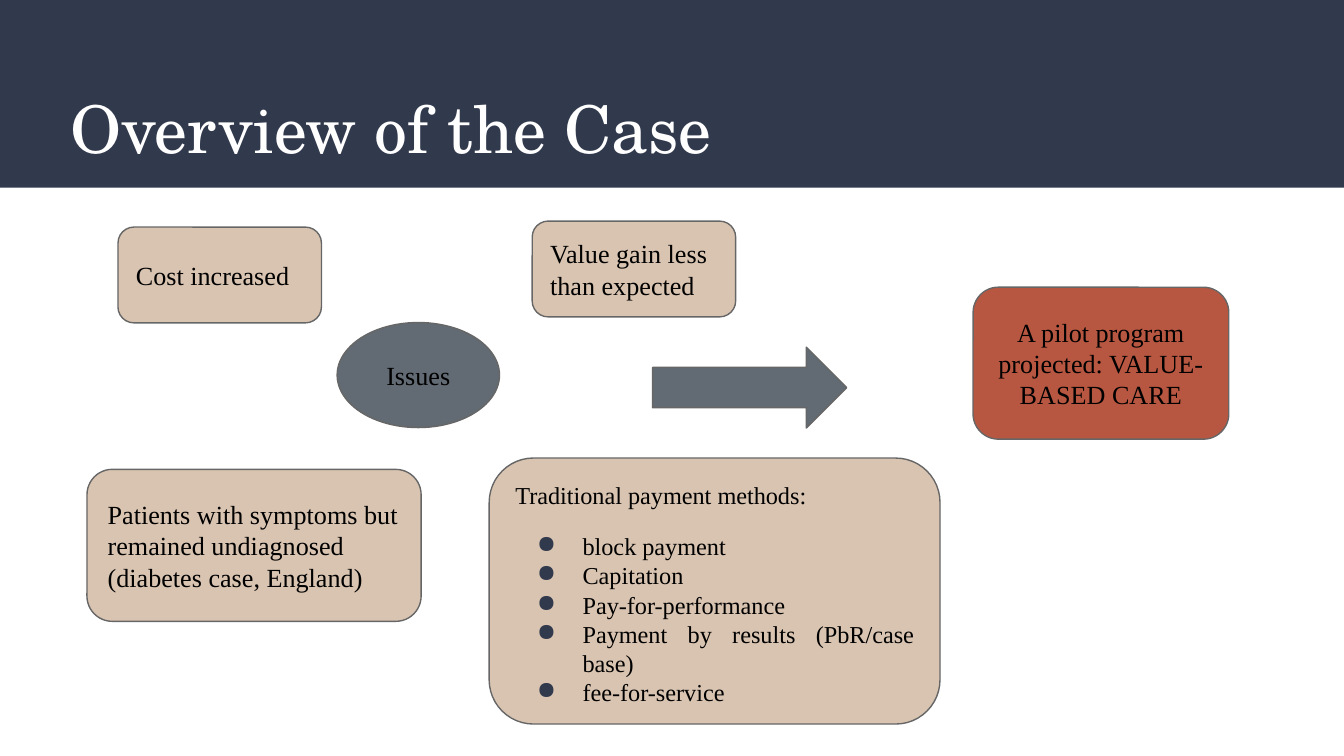
import pptx
import pptx.util
import pptx.dml.color
import pptx.enum.shapes
import pptx.enum.text
import pptx.oxml.ns
from lxml import etree

Pt = pptx.util.Pt
Shape = pptx.enum.shapes.MSO_SHAPE
Align = pptx.enum.text.PP_ALIGN
Anchor = pptx.enum.text.MSO_ANCHOR

NAVY, SAND, SLATE, RUST = "31394D", "D9C4B1", "626B73", "B85741"
OUTLINE, BLACK, WHITE = "666666", "000000", "FFFFFF"
BODY_FONT = "Times New Roman"

TITLE = "Overview of the Case"
# kind, (left, top, width, height), fill, text, alignment
DIAGRAM = [
    (Shape.ROUNDED_RECTANGLE, (63.2, 121.7, 109, 51.3), SAND,
     "Cost increased", Align.LEFT),
    (Shape.ROUNDED_RECTANGLE, (46.6, 251.5, 179, 81.4), SAND,
     "Patients with symptoms but remained undiagnosed (diabetes case, England)", Align.LEFT),
    (Shape.ROUNDED_RECTANGLE, (285.1, 118.5, 109, 51.3), SAND,
     "Value gain less than expected", Align.LEFT),
    (Shape.RIGHT_ARROW, (349.6, 186, 104, 43.3), SLATE, "", Align.LEFT),
    (Shape.OVAL, (180.6, 172.8, 87, 56.3), SLATE, "Issues", Align.CENTER),
    (Shape.ROUNDED_RECTANGLE, (521.3, 153.9, 137, 81.4), RUST,
     "A pilot program projected: VALUE-BASED CARE", Align.CENTER),
]
METHODS_BOX = (262.1, 245.4, 241.5, 142.5)
METHODS_HEADING = "Traditional payment methods:"
METHODS = ["block payment", "Capitation", "Pay-for-performance",
           "Payment by results (PbR/case base)", "fee-for-service"]


def rgb(code):
    return pptx.dml.color.RGBColor.from_string(code)


def apply(target, values):
    for name, value in values.items():
        setattr(target, name, value)


def write(paragraph, text, size, alignment, font=BODY_FONT, color=BLACK):
    paragraph.text = text
    paragraph.alignment = alignment
    apply(paragraph.font, {"name": font, "size": Pt(size), "bold": False})
    paragraph.font.color.rgb = rgb(color)


def add_bullet(paragraph, color, indent, hanging):
    properties = paragraph._p.get_or_add_pPr()
    properties.set("marL", str(Pt(indent)))
    properties.set("indent", str(-Pt(hanging)))
    tag = pptx.oxml.ns.qn
    bullet_color = etree.SubElement(properties, tag("a:buClr"))
    etree.SubElement(bullet_color, tag("a:srgbClr"), val=color)
    etree.SubElement(properties, tag("a:buChar"), char="●")


def add_block(slide, kind, box, fill, outline=OUTLINE):
    shape = slide.shapes.add_shape(kind, *map(Pt, box))
    shape.shadow.inherit = False
    shape.fill.solid()
    shape.fill.fore_color.rgb = rgb(fill)
    if outline:
        shape.line.color.rgb = rgb(outline)
        shape.line.width = Pt(0.75)
    else:
        shape.line.fill.background()
    margins = dict.fromkeys(
        ("margin_left", "margin_top", "margin_right", "margin_bottom"), Pt(7.2))
    apply(shape.text_frame, {"word_wrap": True, "vertical_anchor": Anchor.MIDDLE, **margins})
    return shape


def add_title(slide):
    title = slide.shapes.title
    title.element.getparent().append(title.element)  # in front of the band
    apply(title, {"left": Pt(24.5), "top": Pt(39.6), "width": Pt(671), "height": Pt(49)})
    apply(title.text_frame, {
        "margin_left": Pt(13), "margin_top": Pt(7.2),
        "margin_right": Pt(7.2), "margin_bottom": Pt(7.2),
        "word_wrap": True, "vertical_anchor": Anchor.TOP,
        "auto_size": pptx.enum.text.MSO_AUTO_SIZE.NONE,
    })
    write(title.text_frame.paragraphs[0], TITLE, 35.2, Align.LEFT, "TeX Gyre Schola", WHITE)


def add_methods(slide):
    frame = add_block(slide, Shape.ROUNDED_RECTANGLE, METHODS_BOX, SAND).text_frame
    heading = frame.paragraphs[0]
    write(heading, METHODS_HEADING, 13, Align.JUSTIFY)
    heading.line_spacing = 1.15
    for index, method in enumerate(METHODS):
        paragraph = frame.add_paragraph()
        add_bullet(paragraph, NAVY, 36, 24.5)
        write(paragraph, method, 13, Align.JUSTIFY)
        paragraph.space_before = Pt(0 if index else 12)


def main():
    presentation = pptx.Presentation()
    apply(presentation, {"slide_width": Pt(720), "slide_height": Pt(405)})
    slide = presentation.slides.add_slide(presentation.slide_layouts[5])
    add_block(slide, Shape.RECTANGLE, (0, 0, 720, 100.5), NAVY, outline=None)
    add_title(slide)
    for kind, box, fill, text, alignment in DIAGRAM:
        shape = add_block(slide, kind, box, fill)
        if text:
            write(shape.text_frame.paragraphs[0], text, 14, alignment)
    add_methods(slide)
    presentation.save("out.pptx")


if __name__ == "__main__":
    main()
